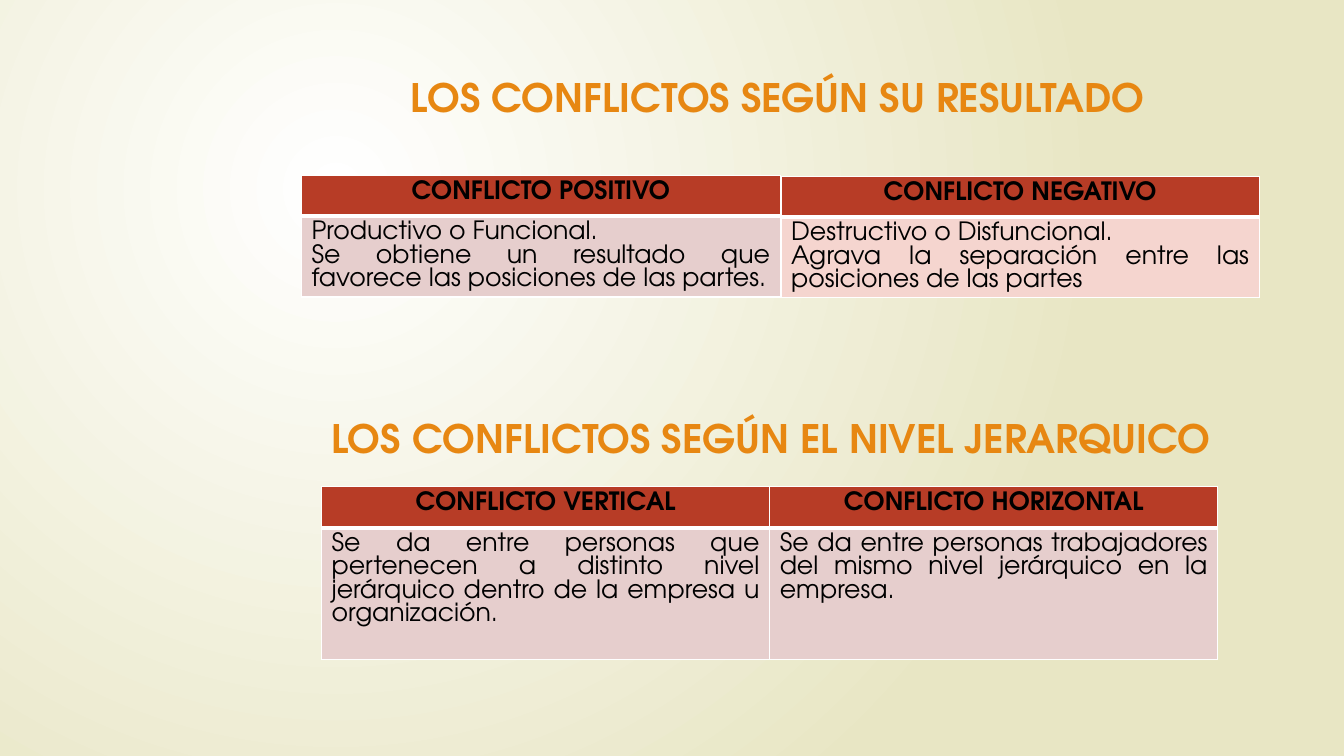
from dataclasses import dataclass

from lxml import etree
from pptx import Presentation
from pptx.dml.color import RGBColor
from pptx.enum.text import MSO_ANCHOR, MSO_AUTO_SIZE, PP_ALIGN
from pptx.oxml.ns import qn
from pptx.util import Inches, Pt

CENTER, JUSTIFY, LEFT = PP_ALIGN.CENTER, PP_ALIGN.JUSTIFY, PP_ALIGN.LEFT
TOP = MSO_ANCHOR.TOP
FIXED, GROW = MSO_AUTO_SIZE.NONE, MSO_AUTO_SIZE.SHAPE_TO_FIT_TEXT

FONT = "TeX Gyre Adventor"
COLORS = {
    "glow": "FFFFFF",
    "sand": "E8E6C4",
    "heading": "E78712",
    "header": "B73C26",
    "rose": "E6CECD",
    "peach": "F5D5CF",
    "text": "000000",
    "border": "FFFFFF",
}
WIDTH, HEIGHT = Inches(13.33), Inches(7.5)
HEADING_SIZE, TABLE_SIZE, TABLE_LEADING = 28, 18, 16.8
HEADER_HEIGHT = 5.4


@dataclass(frozen=True)
class Area:
    """Percentages of the slide's width and height."""
    left: float
    top: float
    width: float
    height: float

    def lengths(self) -> tuple[int, int, int, int]:
        return (across(self.left), down(self.top), across(self.width), down(self.height))


@dataclass(frozen=True)
class Conflict:
    name: str
    lines: tuple[str, ...]
    color: str = "rose"


@dataclass(frozen=True)
class ConflictTable:
    left: float
    top: float
    width: float
    body_height: float
    conflicts: tuple[Conflict, ...]


TITLE_AREA = Area(21.3, 9.07, 73.12, 6.93)
SUBTITLE_AREA = Area(23.93, 54.13, 67.8, 7.6)
TABLES = (
    ConflictTable(22.43, 23.2, 35.63, 10.67, (
        Conflict("CONFLICTO POSITIVO", (
            "Productivo o Funcional.",
            "Se obtiene un resultado que favorece las posiciones de las partes.")),)),
    ConflictTable(58.12, 23.33, 35.58, 10.67, (
        Conflict("CONFLICTO NEGATIVO", (
            "Destructivo o Disfuncional.",
            "Agrava la separación entre las posiciones de las partes"), "peach"),)),
    ConflictTable(23.93, 64.4, 66.68, 17.4, (
        Conflict("CONFLICTO VERTICAL", (
            "Se da entre personas que pertenecen a distinto nivel jerárquico "
            "dentro de la empresa u organización.",)),
        Conflict("CONFLICTO HORIZONTAL", (
            "Se da entre personas trabajadores del mismo nivel jerárquico en la empresa.",)))),
)


def across(percent: float) -> int:
    return round(WIDTH * percent / 100)


def down(percent: float) -> int:
    return round(HEIGHT * percent / 100)


def rgb(name: str) -> RGBColor:
    return RGBColor.from_string(COLORS[name])


def add_text(paragraph, text: str, size: float, color: str, bold: bool, alignment) -> None:
    paragraph.alignment = alignment
    run = paragraph.add_run()
    run.text = text
    run.font.name = FONT
    run.font.size = Pt(size)
    run.font.bold = bold
    run.font.color.rgb = rgb(color)


def paint_background(slide) -> None:
    fill = slide.background.fill
    fill.gradient()
    for stop, (position, color) in zip(fill.gradient_stops, ((0, "glow"), (1, "sand"))):
        stop.position = position
        stop.color.rgb = rgb(color)
    gradient = next(slide.background._cSld.iter(qn("a:gradFill")))
    gradient.remove(gradient.find(qn("a:lin")))
    circle = etree.SubElement(gradient, qn("a:path"), {"path": "circle"})
    etree.SubElement(circle, qn("a:fillToRect"),
                     {"l": "50000", "t": "50000", "r": "100000", "b": "100000"})


def add_borders(cell, bottom_points: float) -> None:
    properties = cell._tc.get_or_add_tcPr()
    widths = {"a:lnL": 1, "a:lnR": 1, "a:lnT": 1, "a:lnB": bottom_points}
    for index, (side, points) in enumerate(widths.items()):
        line = etree.Element(qn(side), {"w": str(Pt(points))})
        solid = etree.SubElement(line, qn("a:solidFill"))
        etree.SubElement(solid, qn("a:srgbClr"), {"val": COLORS["border"]})
        properties.insert(index, line)


def fill_cell(cell, lines: tuple[str, ...], color: str, is_header: bool) -> None:
    cell.fill.solid()
    cell.fill.fore_color.rgb = rgb(color)
    add_borders(cell, 3 if is_header else 1)
    frame = cell.text_frame
    for index, text in enumerate(lines):
        paragraph = frame.add_paragraph() if index else frame.paragraphs[0]
        paragraph.line_spacing = Pt(TABLE_LEADING)
        add_text(paragraph, text, TABLE_SIZE, "text", is_header,
                 CENTER if is_header else JUSTIFY)


def add_conflict_table(slide, layout: ConflictTable) -> None:
    area = Area(layout.left, layout.top, layout.width, HEADER_HEIGHT + layout.body_height)
    table = slide.shapes.add_table(2, len(layout.conflicts), *area.lengths()).table
    table.rows[0].height = down(HEADER_HEIGHT)
    table.rows[1].height = down(layout.body_height)
    for column, conflict in enumerate(layout.conflicts):
        fill_cell(table.cell(0, column), (conflict.name,), "header", True)
        fill_cell(table.cell(1, column), conflict.lines, conflict.color, False)


def add_heading(shape, area: Area, text: str, alignment, wrap: bool, auto_size) -> None:
    shape.left, shape.top, shape.width, shape.height = area.lengths()
    frame = shape.text_frame
    frame.word_wrap = wrap
    frame.auto_size = auto_size
    frame.vertical_anchor = TOP
    add_text(frame.paragraphs[0], text, HEADING_SIZE, "heading", True, alignment)


def main() -> None:
    presentation = Presentation()
    presentation.slide_width, presentation.slide_height = WIDTH, HEIGHT
    slide = presentation.slides.add_slide(presentation.slide_layouts[5])
    paint_background(slide)
    add_heading(slide.shapes.title, TITLE_AREA,
                "LOS CONFLICTOS SEGÚN SU RESULTADO", CENTER, True, FIXED)
    subtitle = slide.shapes.add_textbox(*SUBTITLE_AREA.lengths())
    add_heading(subtitle, SUBTITLE_AREA,
                "LOS CONFLICTOS SEGÚN EL NIVEL JERARQUICO", LEFT, False, GROW)
    for layout in TABLES:
        add_conflict_table(slide, layout)
    presentation.save("out.pptx")


if __name__ == "__main__":
    main()
